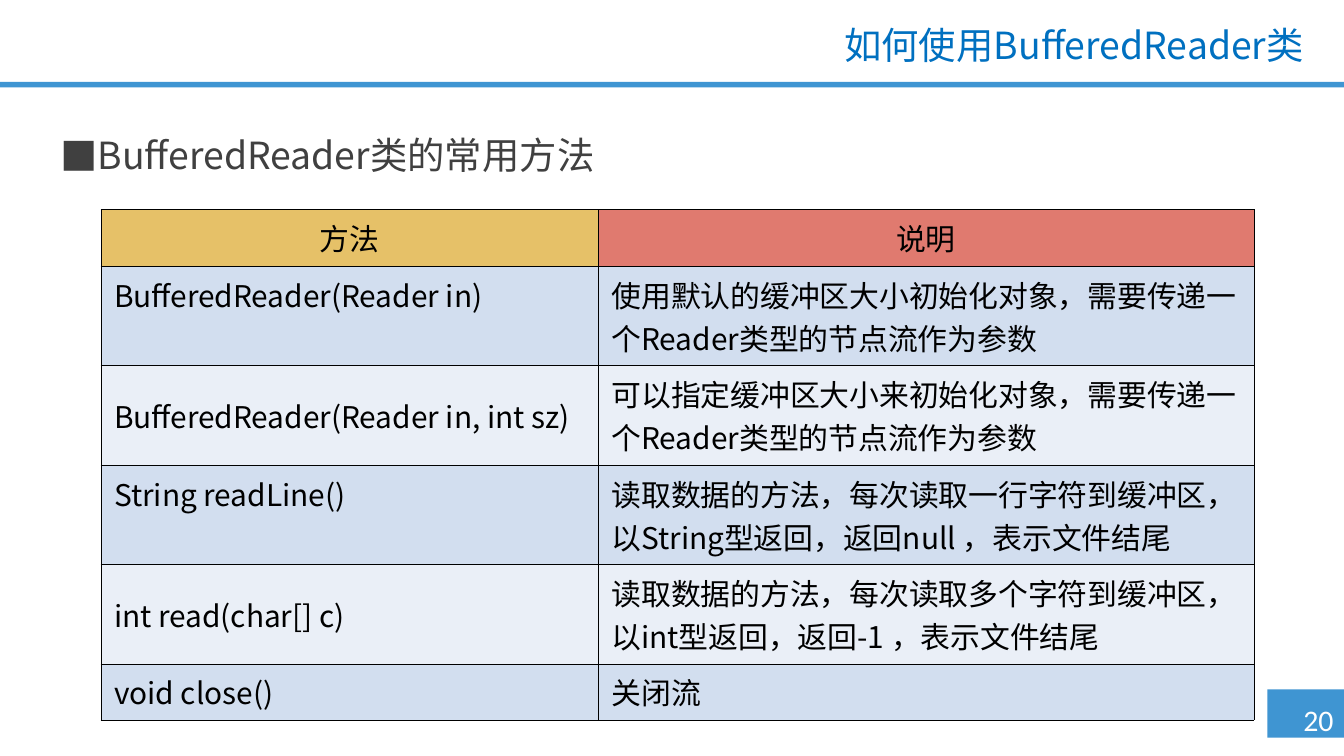
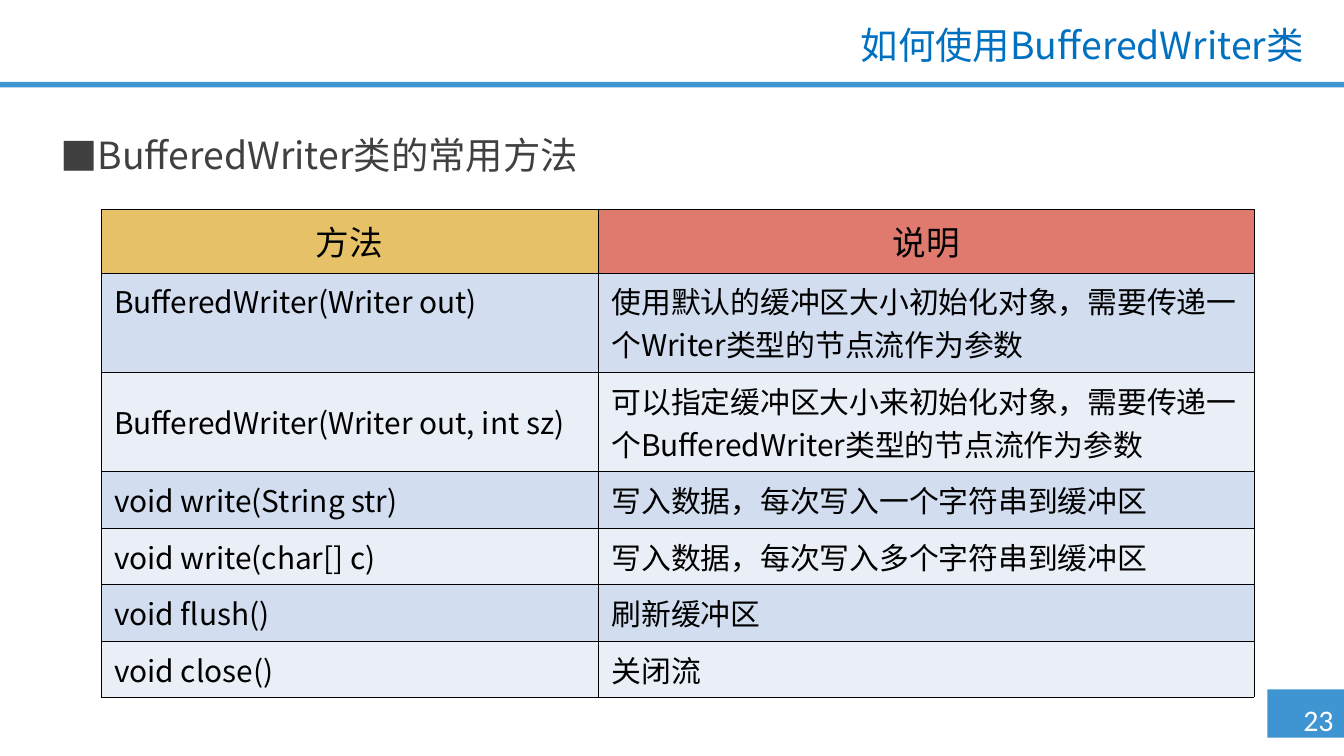
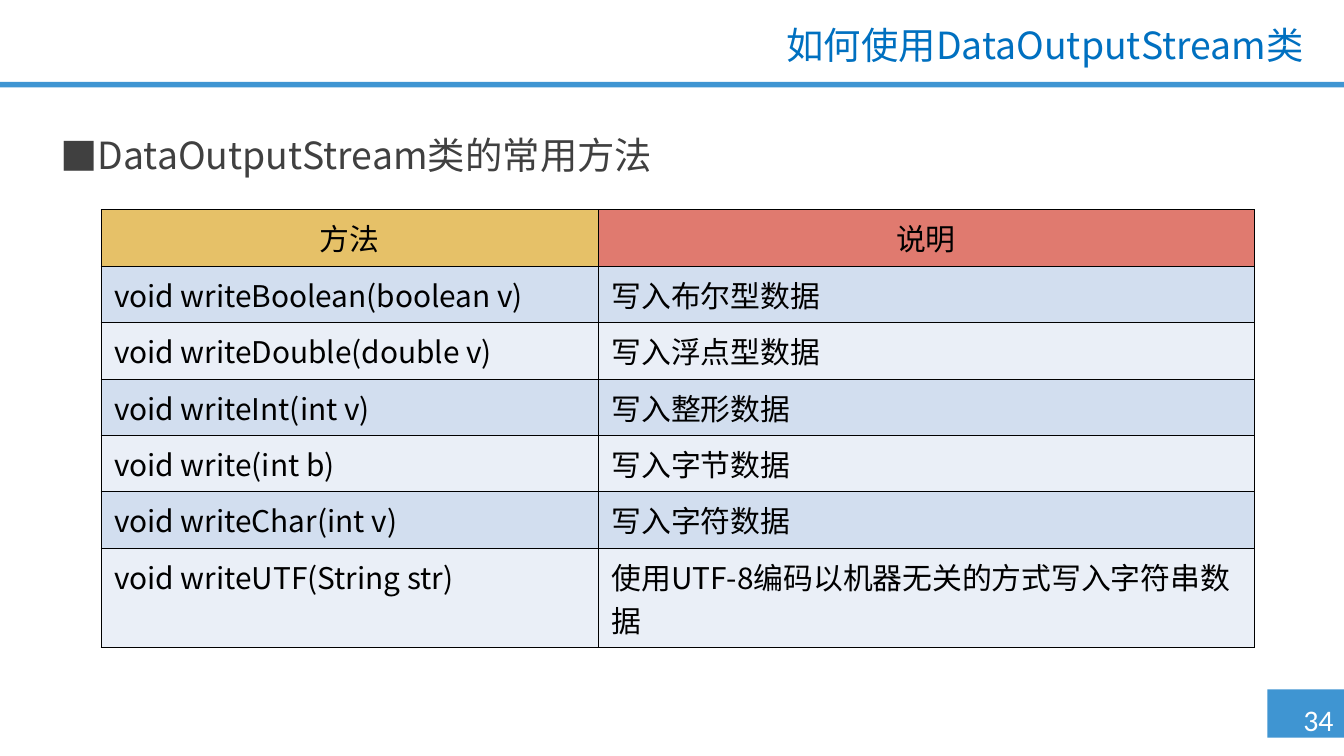
from dataclasses import dataclass

from lxml import etree
from pptx import Presentation
from pptx.dml.color import RGBColor
from pptx.enum.shapes import MSO_SHAPE
from pptx.enum.text import MSO_ANCHOR, MSO_AUTO_SIZE, PP_ALIGN
from pptx.oxml.ns import qn
from pptx.util import Inches, Pt

RECTANGLE = MSO_SHAPE.RECTANGLE
TOP, MIDDLE = MSO_ANCHOR.TOP, MSO_ANCHOR.MIDDLE
LEFT, CENTER, RIGHT = PP_ALIGN.LEFT, PP_ALIGN.CENTER, PP_ALIGN.RIGHT
GROW = MSO_AUTO_SIZE.SHAPE_TO_FIT_TEXT

# The grid has square cells of a tenth of an inch.
CELL = Inches(0.1)
GRID_COLUMNS, GRID_ROWS = 100, 56.25

TABLE_HEADINGS = ("方法", "说明")
COLUMN_WIDTHS = (37, 48.8)
ONE_LINE_ROW, TWO_LINE_ROW, LARGE_HEADER_ROW = 4.2, 7.4, 4.7
LINE_CAPACITY = 20  # characters of a description that fit on one line
MIDDLE_ROWS = (2, 4)  # rows whose method name is centred vertically


@dataclass(frozen=True)
class Theme:
    font: str = "Noto Sans CJK SC"
    title_end_font: str = "Roboto"
    number_font: str = "Calibri"
    band: str = "3F95D2"
    title: str = "0070C0"
    heading: str = "404040"
    text: str = "000000"
    white: str = "FFFFFF"
    headers: tuple = ("E6C168", "E07A6F")
    rows: tuple = ("D2DEEF", "EAEFF7")
    border: str = "000000"
    border_width: float = 0.25
    title_size: int = 20
    large_header_size: int = 18
    body_size: int = 16


def cells(length):
    return round(length * CELL)


def set_font(font, name, size, color):
    font.name, font.size = name, Pt(size)
    font.color.rgb = RGBColor.from_string(color)


def set_east_asian(properties, name):
    """Give CJK characters the named font, next to the Latin one."""
    latin = properties.find(qn("a:latin"))
    east_asian = etree.Element(qn("a:ea"), typeface=name)
    latin.addnext(east_asian)


def indent(para, left, first):
    properties = para._p.get_or_add_pPr()
    properties.set("marL", str(Inches(left)))
    properties.set("indent", str(Inches(first)))
    return properties


class MethodDeck:
    """The shared style, and the slide being filled."""

    def __init__(self, theme):
        self.theme = theme
        self.deck = Presentation()
        self.deck.slide_width = cells(GRID_COLUMNS)
        self.deck.slide_height = cells(GRID_ROWS)
        self.page = None

    def add_page(self, number):
        blank = self.deck.slide_layouts[6]
        self.page = self.deck.slides.add_slide(blank)
        self.band(94.3, 51.3, 5.7, 3.6)
        self.band(0, 6.1, GRID_COLUMNS, 0.4)
        self.page_number(number)

    def band(self, *place):
        shape = self.page.shapes.add_shape(RECTANGLE, *map(cells, place))
        shape.shadow.inherit = False
        shape.fill.solid()
        shape.fill.fore_color.rgb = RGBColor.from_string(self.theme.band)
        shape.line.fill.background()

    def text_box(self, *place):
        box = self.page.shapes.add_textbox(*map(cells, place))
        box.text_frame.word_wrap = True
        return box.text_frame

    def set_text(self, para, text, size, color, align=LEFT, font=None):
        para.text = text
        para.alignment = align
        set_font(para.font, font or self.theme.font, size, color)
        for span in para.runs:
            set_font(span.font, font or self.theme.font, size, color)
            set_east_asian(span._r.get_or_add_rPr(), self.theme.font)

    def page_number(self, number):
        frame = self.text_box(96.2, 51.7, 3.8, 3.7)
        frame.word_wrap = False
        frame.margin_left = frame.margin_right = 0
        self.set_text(frame.paragraphs[0], str(number), self.theme.body_size,
                      self.theme.white, CENTER, self.theme.number_font)

    def title(self, class_name):
        theme = self.theme
        frame = self.text_box(24, 1.5, 74, 4.1)
        frame.auto_size = GROW
        frame.vertical_anchor = MIDDLE
        para = frame.paragraphs[0]
        self.set_text(para, f"如何使用{class_name}", theme.title_size, theme.title, RIGHT)
        para.line_spacing = 0.9
        indent(para, 1, -1)
        span = para.add_run()
        span.text = "类"
        set_font(span.font, theme.title_end_font, theme.title_size, theme.title)
        set_east_asian(span._r.get_or_add_rPr(), theme.font)

    def heading(self, class_name):
        para = self.text_box(3.5, 9.2, 91.3, 4.6).paragraphs[0]
        self.set_text(para, f"{class_name}类的常用方法", self.theme.title_size,
                      self.theme.heading)
        para.line_spacing, para.space_before = Pt(25), Pt(10)
        properties = indent(para, 0.25, -0.25)
        bullet_font = etree.Element(qn("a:buFont"), typeface=self.theme.font)
        bullet = etree.Element(qn("a:buChar"), char="■")
        properties.find(qn("a:spcBef")).addnext(bullet_font)
        bullet_font.addnext(bullet)

    def method_table(self, methods, large_header):
        theme = self.theme
        header_size = theme.large_header_size if large_header else theme.body_size
        heights = [LARGE_HEADER_ROW if large_header else ONE_LINE_ROW]
        heights += [TWO_LINE_ROW if len(description) > LINE_CAPACITY else ONE_LINE_ROW
                    for _, description in methods]
        place = (7.5, 15.6, sum(COLUMN_WIDTHS), sum(heights))
        table = self.page.shapes.add_table(
            len(heights), len(COLUMN_WIDTHS), *map(cells, place)).table
        table.first_row = table.horz_banding = False
        for column, width in zip(table.columns, COLUMN_WIDTHS):
            column.width = cells(width)
        for row, height in zip(table.rows, heights):
            row.height = cells(height)
        for column, (heading, fill) in enumerate(zip(TABLE_HEADINGS, theme.headers)):
            self.table_cell(table.cell(0, column), heading, fill, header_size, CENTER)
        for row, texts in enumerate(methods, start=1):
            fill = theme.rows[(row - 1) % 2]
            for column, text in enumerate(texts):
                middle = column == 0 and row in MIDDLE_ROWS
                self.table_cell(table.cell(row, column), text, fill, theme.body_size,
                                anchor=MIDDLE if middle else TOP)

    def table_cell(self, cell, text, fill, size, align=LEFT, anchor=TOP):
        self.set_text(cell.text_frame.paragraphs[0], text, size, self.theme.text, align)
        cell.vertical_anchor = anchor
        properties = cell._tc.get_or_add_tcPr()
        for side in ("a:lnL", "a:lnR", "a:lnT", "a:lnB"):
            line = etree.SubElement(properties, qn(side),
                                    w=str(Pt(self.theme.border_width)))
            solid = etree.SubElement(line, qn("a:solidFill"))
            etree.SubElement(solid, qn("a:srgbClr"), val=self.theme.border)
        cell.fill.solid()
        cell.fill.fore_color.rgb = RGBColor.from_string(fill)

    def class_page(self, number, class_name, methods, large_header=False):
        self.add_page(number)
        self.title(class_name)
        self.heading(class_name)
        self.method_table(methods, large_header)


READER_METHODS = (
    ("BufferedReader(Reader in)",
     "使用默认的缓冲区大小初始化对象，需要传递一个Reader类型的节点流作为参数"),
    ("BufferedReader(Reader in, int sz)",
     "可以指定缓冲区大小来初始化对象，需要传递一个Reader类型的节点流作为参数"),
    ("String readLine()",
     "读取数据的方法，每次读取一行字符到缓冲区，以String型返回，返回null ，表示文件结尾"),
    ("int read(char[] c)",
     "读取数据的方法，每次读取多个字符到缓冲区，以int型返回，返回-1 ，表示文件结尾"),
    ("void close()", "关闭流"),
)
WRITER_METHODS = (
    ("BufferedWriter(Writer out)",
     "使用默认的缓冲区大小初始化对象，需要传递一个Writer类型的节点流作为参数"),
    ("BufferedWriter(Writer out, int sz)",
     "可以指定缓冲区大小来初始化对象，需要传递一个BufferedWriter类型的节点流作为参数"),
    ("void write(String str)", "写入数据，每次写入一个字符串到缓冲区"),
    ("void write(char[] c)", "写入数据，每次写入多个字符串到缓冲区"),
    ("void flush()", "刷新缓冲区"),
    ("void close()", "关闭流"),
)
DATA_STREAM_METHODS = (
    ("void writeBoolean(boolean v)", "写入布尔型数据"),
    ("void writeDouble(double v)", "写入浮点型数据"),
    ("void writeInt(int v)", "写入整形数据"),
    ("void write(int b)", "写入字节数据"),
    ("void writeChar(int v)", "写入字符数据"),
    ("void writeUTF(String str)", "使用UTF-8编码以机器无关的方式写入字符串数据"),
)


def main():
    method_deck = MethodDeck(Theme())
    method_deck.class_page(20, "BufferedReader", READER_METHODS)
    method_deck.class_page(23, "BufferedWriter", WRITER_METHODS, large_header=True)
    method_deck.class_page(34, "DataOutputStream", DATA_STREAM_METHODS)
    method_deck.deck.save("out.pptx")


if __name__ == "__main__":
    main()
